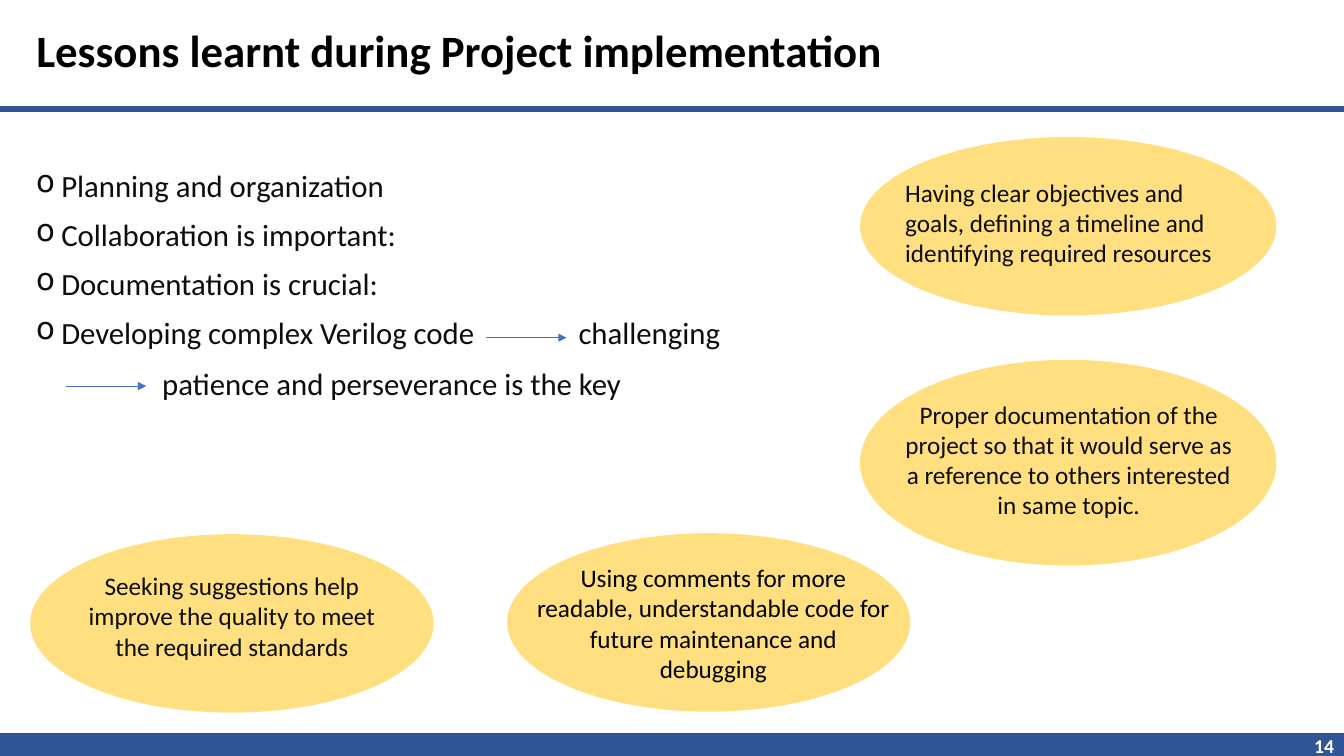
import pptx
import pptx.util
import pptx.dml.color
import pptx.enum.shapes
import pptx.enum.text
import pptx.oxml
from pptx.oxml.ns import nsdecls, qn

Inches = pptx.util.Inches
Pt = pptx.util.Pt
ALIGN = pptx.enum.text.PP_ALIGN
MIDDLE = pptx.enum.text.MSO_ANCHOR.MIDDLE


def rgb(color):
    return pptx.dml.color.RGBColor.from_string(color)


def add_xml(parent, tag, attrs="", inner=""):
    parent.append(pptx.oxml.parse_xml(
        f"<a:{tag} {nsdecls('a')} {attrs}>{inner}</a:{tag}>"))


prs = pptx.Presentation()
prs.slide_width = Inches(13.33)
prs.slide_height = Inches(7.5)
s = prs.slides.add_slide(prs.slide_layouts[5])

lines = [
    (0, 1.08, 13.33, "2F5597", 4, False),
    (0, 7.39, 13.33, "2F5597", 17.5, False),
    (0.65, 3.83, 1.45, "4472C4", 0.5, True),
    (4.82, 3.35, 5.62, "4472C4", 0.5, True),
]
for x1, y, x2, color, width, arrow in lines:
    line = s.shapes.add_connector(
        pptx.enum.shapes.MSO_CONNECTOR.STRAIGHT,
        Inches(x1), Inches(y), Inches(x2), Inches(y))
    line.line.color.rgb = rgb(color)
    line.line.width = Pt(width)
    if arrow:
        add_xml(line.line._get_or_add_ln(), "tailEnd", 'type="triangle"')
    add_xml(line._element.spPr, "effectLst")

title = s.shapes.title
title.left, title.top = Inches(0.26), Inches(0.22)
title.width, title.height = Inches(10.27), Inches(0.61)
tf = title.text_frame
tf.text = "Lessons learnt during Project implementation"
tf.vertical_anchor = MIDDLE
p = tf.paragraphs[0]
p.alignment = ALIGN.LEFT
p.line_spacing = 0.9
p.font.name = "Calibri"
p.font.size = Pt(32)
p.font.bold = True
p.font.color.rgb = rgb("000000")

lessons = [
    "Planning and organization",
    "Collaboration is important:",
    "Documentation is crucial:",
    "Developing complex Verilog code\tchallenging",
    "patience and perseverance is the key",
]
body = s.shapes.add_textbox(Inches(0.26), Inches(1.62), Inches(8.17), Inches(5.35))
tf = body.text_frame
tf.word_wrap = True
for i, lesson in enumerate(lessons):
    p = tf.paragraphs[0] if i == 0 else tf.add_paragraph()
    p.text = lesson
    bulleted = i < len(lessons) - 1
    p.line_spacing = Pt(25 if bulleted else 26.5)
    p.space_before = Pt(10)
    pPr = p._p.get_or_add_pPr()
    pPr.set("marL", str(Inches(0.25 if bulleted else 1.25)))
    pPr.set("indent", str(Inches(-0.25 if bulleted else 0)))
    if bulleted:
        add_xml(pPr, "buChar", 'char="o"')
    if "\t" in lesson:
        add_xml(pPr, "tabLst", inner=f'<a:tab pos="{Inches(5.38)}" algn="l"/>')
    p.font.name = "Calibri"
    p.font.size = Pt(22)
    p.font.color.rgb = rgb("0D0D0D")

ellipses = [
    (8.53, 1.36, 4.13, 1.77),
    (0.3, 5.3, 4, 1.77),
    (5.03, 5.29, 4, 1.77),
    (8.53, 3.57, 4.13, 2.04),
]
for box in ellipses:
    sp = s.shapes.add_shape(pptx.enum.shapes.MSO_SHAPE.OVAL, *map(Inches, box))
    sp.shadow.inherit = False
    sp.fill.solid()
    sp.fill.fore_color.rgb = rgb("FFC000")
    add_xml(sp._element.spPr.find(qn("a:solidFill"))[0], "alpha", 'val="50000"')
    sp.line.fill.background()

notes = [
    ((8.88, 1.71, 3.45, 1.01), ALIGN.LEFT, "0D0D0D",
     "Having clear objectives and goals, defining a timeline and identifying required resources"),
    ((0.65, 5.61, 3.3, 1.01), ALIGN.CENTER, "0D0D0D",
     "Seeking suggestions help improve the quality to meet the required standards"),
    ((5.22, 5.53, 3.71, 1.31), ALIGN.CENTER, "000000",
     "Using comments for more readable, understandable code for future maintenance and debugging"),
    ((8.8, 3.91, 3.6, 1.31), ALIGN.CENTER, "0D0D0D",
     "Proper documentation of the project so that it would serve as a reference "
     "to others interested in same topic."),
]
for box, align, color, text in notes:
    tf = s.shapes.add_textbox(*map(Inches, box)).text_frame
    tf.word_wrap = True
    p = tf.paragraphs[0]
    p.text = text
    p.alignment = align
    p.font.name = "Calibri"
    p.font.size = Pt(18)
    p.font.color.rgb = rgb(color)

number = s.shapes.add_textbox(Inches(12.22), Inches(7.29), Inches(1.11), Inches(0.22))
tf = number.text_frame
tf.margin_top = tf.margin_bottom = 0
tf.vertical_anchor = MIDDLE
p = tf.paragraphs[0]
p.text = "14"
p.alignment = ALIGN.RIGHT
p.font.name = "Calibri"
p.font.size = Pt(14)
p.font.bold = True
p.font.color.rgb = rgb("FFFFFF")
tf.word_wrap = True

prs.save("out.pptx")
